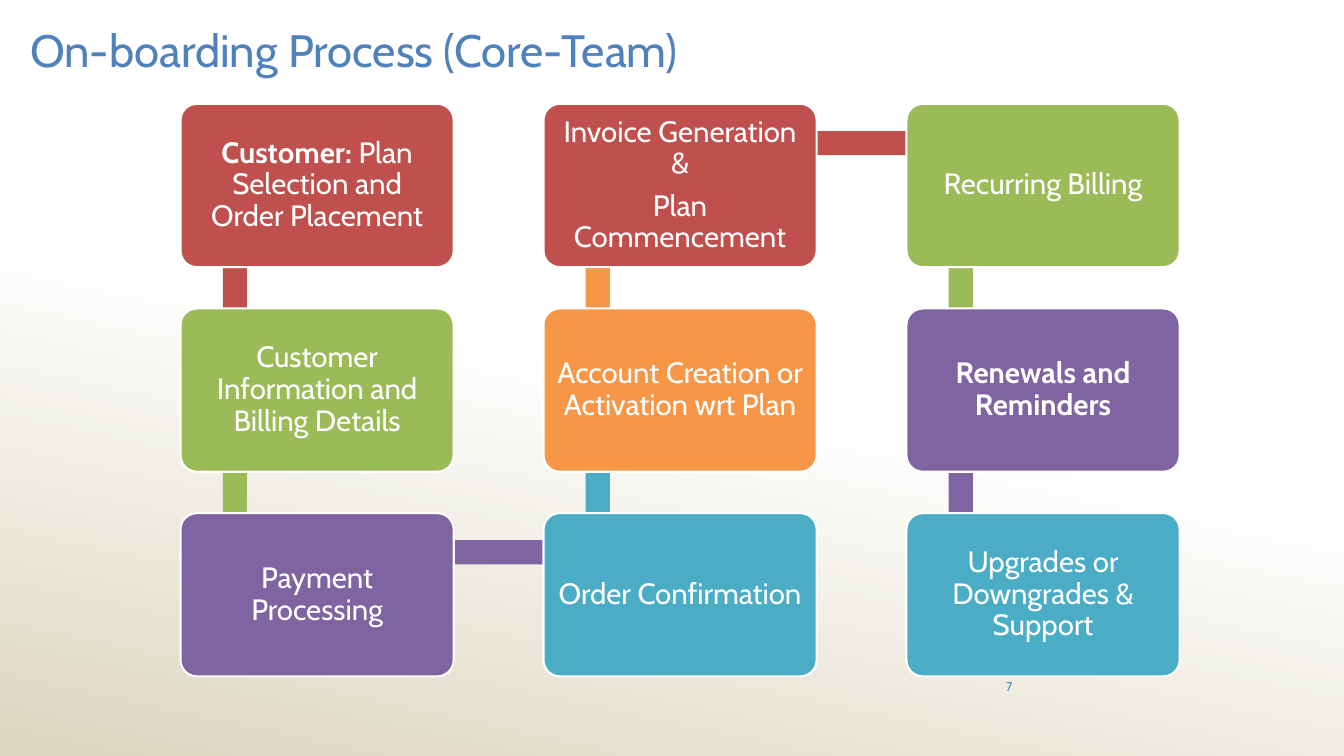
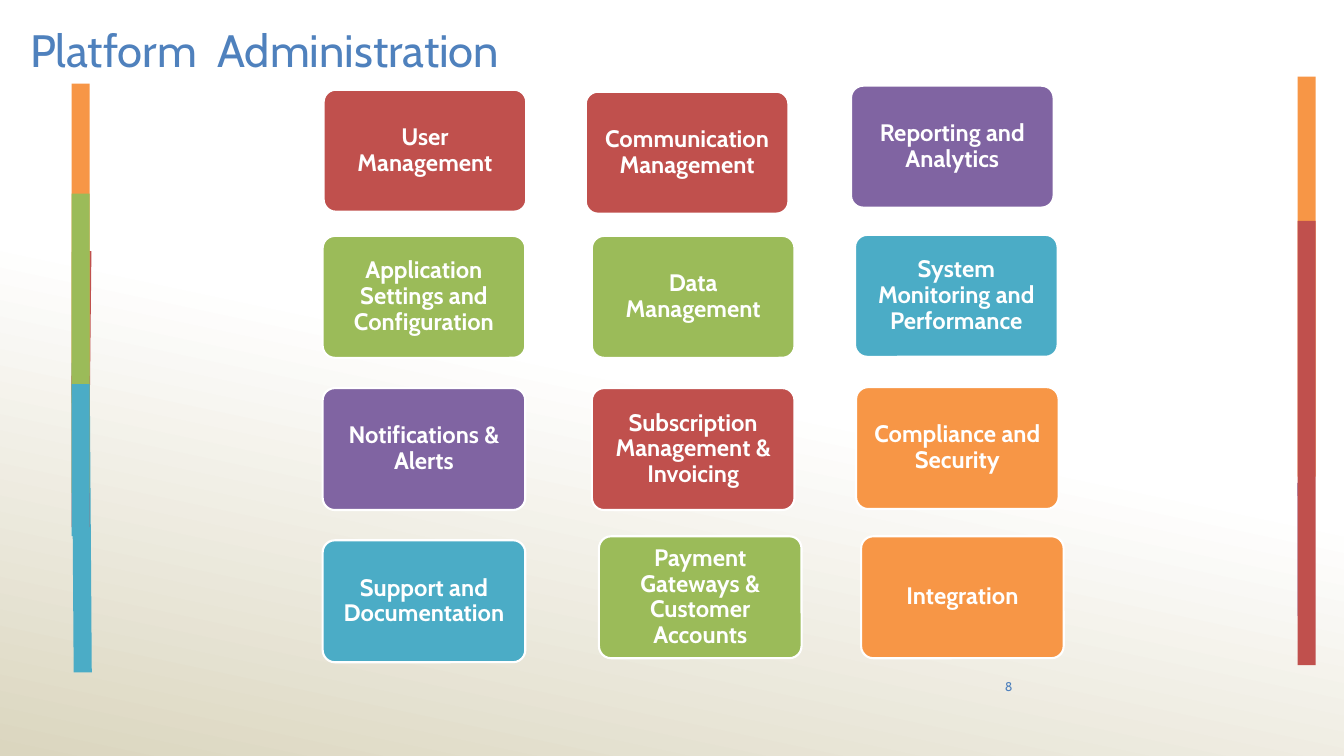
from pptx import Presentation
from pptx import util as u
from pptx.dml.color import RGBColor
from pptx.enum import shapes, text

COLORS = {
    "white": "FFFFFF",
    "sand": "DBD6BF",
    "title": "4F81BD",
    "red": "C0504D",
    "green": "9BBB59",
    "purple": "8064A2",
    "teal": "4BACC6",
    "orange": "F79646",
}
FONT = "Cabin"

ONBOARDING_CARD = {"size": (2.71, 1.62), "font_size": 21, "inset": 0.09}
ADMIN_CARD = {"size": (2.01, 1.21), "font_size": 17, "inset": 0.07}

STEPS = [
    (0, 0, "red", ["Plan Selection and Order Placement"], "Customer: ", False),
    (0, 1, "green", ["Customer Information and Billing Details"], "", False),
    (0, 2, "purple", ["Payment Processing"], "", False),
    (1, 2, "teal", ["Order Confirmation"], "", False),
    (1, 1, "orange", ["Account Creation or Activation wrt Plan"], "", False),
    (1, 0, "red", ["Invoice Generation &", "Plan Commencement"], "", False),
    (2, 0, "green", ["Recurring Billing"], "", False),
    (2, 1, "purple", ["Renewals and Reminders"], "", True),
    (2, 2, "teal", ["Upgrades or Downgrades & Support"], "", False),
]

AREAS = [
    (3.21, 0.89, "red", "User Management"),
    (3.2, 2.34, "green", "Application Settings and Configuration"),
    (3.2, 3.85, "purple", "Notifications & Alerts"),
    (3.2, 5.36, "teal", "Support and Documentation"),
    (5.81, 0.91, "red", "Communication Management"),
    (5.87, 2.34, "green", "Data Management"),
    (5.87, 3.85, "red", "Subscription Management & Invoicing"),
    (5.94, 5.32, "green", "Payment Gateways & Customer Accounts"),
    (8.44, 0.85, "purple", "Reporting and Analytics"),
    (8.48, 2.33, "teal", "System Monitoring and Performance"),
    (8.49, 3.84, "orange", "Compliance and Security"),
    (8.54, 5.32, "orange", "Integration"),
]

LEFT_BARS = [
    (0.72, 2.49, 0.18, 1.45, "red", 0.6),
    (0.71, 2.5, 0.18, 1.5, "green", 0),
    (0.78, 3.78, 0.05, 2.36, "purple", 0),
    (0.72, 3.6, 0.18, 3.07, "teal", 359.6),
    (0.71, 0.83, 0.18, 3.04, "orange", 0),
    (0.71, 3.73, 0.18, 1.5, "red", 0),
    (0.71, 1.92, 0.18, 2.97, "green", 0),
    (0.71, 3.81, 0.18, 1.51, "teal", 0),
]
RIGHT_BARS = [
    (12.87, 4.79, 0.17, 1.32, "purple", 359.9),
    (12.87, 0.76, 0.18, 3.97, "orange", 0),
    (12.87, 2.19, 0.18, 4.41, "red", 0),
]


def rgb(name):
    return RGBColor.from_string(COLORS[name])


def style(p, size, color, align, bold=None):
    p.alignment = align
    p.font.name = FONT
    p.font.size = u.Pt(size)
    p.font.color.rgb = rgb(color)
    p.font.bold = bold


def set_background(prs):
    fill = prs.slide_master.background.fill
    fill.gradient()
    fill.gradient_angle = 360 - 102
    for stop, (position, color) in zip(fill.gradient_stops, [(0.5, "white"), (1, "sand")]):
        stop.position = position
        stop.color.rgb = rgb(color)


def add_label(slide, box, content, size, align, anchor):
    tf = slide.shapes.add_textbox(*map(u.Inches, box)).text_frame
    tf.word_wrap = True
    tf.vertical_anchor = anchor
    p = tf.paragraphs[0]
    p.text = content
    style(p, size, "title", align)


def add_page(prs, title, number):
    slide = prs.slides.add_slide(prs.slide_layouts[6])
    add_label(slide, (0.2, 0.17, 9.08, 0.4), title, 32.4,
              text.PP_ALIGN.LEFT, text.MSO_ANCHOR.TOP)
    add_label(slide, (9.39, 6.61, 0.75, 0.4), str(number), 9,
              text.PP_ALIGN.RIGHT, text.MSO_ANCHOR.MIDDLE)
    return slide


def add_block(slide, kind, box, color):
    sp = slide.shapes.add_shape(kind, *map(u.Inches, box))
    sp.shadow.inherit = False
    sp.fill.solid()
    sp.fill.fore_color.rgb = rgb(color)
    sp.line.fill.background()
    return sp


def add_bar(slide, box, color, rotation=0):
    add_block(slide, shapes.MSO_SHAPE.RECTANGLE, box, color).rotation = rotation


def add_card(slide, left, top, color, paragraphs, kind, lead="", bold=False):
    sp = add_block(slide, shapes.MSO_SHAPE.ROUNDED_RECTANGLE,
                   (left, top, *kind["size"]), color)
    sp.adjustments[0] = 0.1
    sp.line.color.rgb = rgb("white")
    sp.line.width = u.Pt(1.5)
    tf = sp.text_frame
    tf.word_wrap = True
    tf.vertical_anchor = text.MSO_ANCHOR.MIDDLE
    tf.margin_left = tf.margin_right = u.Inches(kind["inset"])
    tf.margin_top = tf.margin_bottom = u.Inches(kind["inset"])
    for i, content in enumerate(paragraphs):
        p = tf.paragraphs[0] if i == 0 else tf.add_paragraph()
        style(p, kind["font_size"], "white", text.PP_ALIGN.CENTER, bold)
        p.line_spacing = 0.9
        if i:
            p.space_before = u.Pt(0.35 * kind["font_size"])
        elif lead:
            r = p.add_run()
            r.text = lead
            r.font.bold = True
        p.add_run().text = content


def add_step_flow(slide, left, top):
    pitch_x, pitch_y, thickness = 3.6, 2.03, 0.24

    def corner(step):
        return left + step[0] * pitch_x, top + step[1] * pitch_y

    for step, following in zip(STEPS, STEPS[1:]):
        x, y = corner(step)
        next_x, next_y = corner(following)
        if step[0] == following[0]:
            box = (x + 0.42, min(y, next_y) + 0.4, thickness, pitch_y)
        else:
            box = (x + 0.55, y + 0.27, pitch_x, thickness)
        add_bar(slide, box, step[2])
    for step in STEPS:
        color, paragraphs, lead, bold = step[2:]
        add_card(slide, *corner(step), color, paragraphs, ONBOARDING_CARD, lead, bold)


def add_admin_areas(slide):
    for *box, color, rotation in LEFT_BARS + RIGHT_BARS:
        add_bar(slide, box, color, rotation)
    for left, top, color, label in AREAS:
        add_card(slide, left, top, color, [label], ADMIN_CARD, bold=True)


def main():
    prs = Presentation()
    prs.slide_width = u.Inches(13.33)
    prs.slide_height = u.Inches(7.5)
    set_background(prs)
    add_step_flow(add_page(prs, "On-boarding Process (Core-Team)", 7), 1.79, 1.03)
    add_admin_areas(add_page(prs, "Platform  Administration", 8))
    prs.save("out.pptx")


if __name__ == "__main__":
    main()
